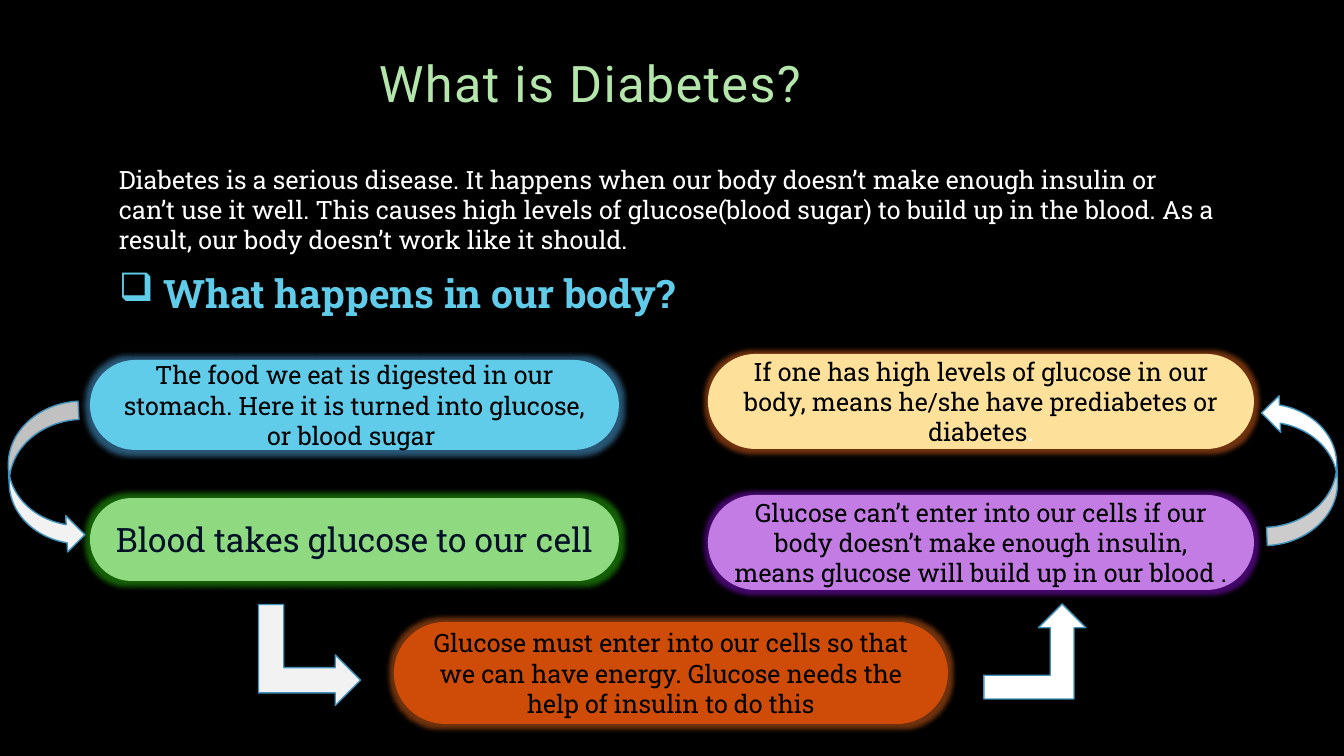
"""Build the "What is Diabetes?" slide with its glucose flow of pills and arrows."""
from lxml import etree
from pptx import Presentation
from pptx.dml.color import RGBColor
from pptx.enum.shapes import MSO_SHAPE
from pptx.enum.text import MSO_ANCHOR, PP_ALIGN
from pptx.oxml import parse_xml
from pptx.oxml.ns import nsdecls, qn
from pptx.util import Emu, Pt

PX = 914400 / 100.8
HEADING_FONT, BODY_FONT = "Roboto", "Roboto Slab"

BLACK = RGBColor(0x00, 0x00, 0x00)
WHITE = RGBColor(0xFF, 0xFF, 0xFF)
NAVY = RGBColor(0x00, 0x10, 0x27)
PALE_GREEN = RGBColor(0xB4, 0xE6, 0xAB)
SKY = RGBColor(0x60, 0xCC, 0xEA)
GREEN = RGBColor(0x8F, 0xDA, 0x81)
ORANGE = RGBColor(0xCE, 0x4C, 0x07)
PURPLE = RGBColor(0xC2, 0x7C, 0xE4)
YELLOW = RGBColor(0xFD, 0xE0, 0x99)
LIGHT_GREY = RGBColor(0xF2, 0xF2, 0xF2)
ARROW_EDGE = RGBColor(0x40, 0x92, 0xBD)
BLUE_GLOW = RGBColor(0x3A, 0x7C, 0xA8)
GREEN_GLOW = RGBColor(0x1E, 0x8A, 0x0A)
BROWN_GLOW = RGBColor(0xA0, 0x48, 0x14)
PURPLE_GLOW = RGBColor(0x62, 0x0A, 0x98)

TITLE = "What is Diabetes?"
INTRO = (
    "Diabetes is a serious disease. It happens when our body doesn’t make enough insulin or "
    "can’t use it well. This causes high levels of glucose(blood sugar) to build up in the "
    "blood. As a result, our body doesn’t work like it should."
)
QUESTION = " What happens in our body?"

PILLS = [
    ((90, 360, 529, 90), SKY, BLUE_GLOW, 18, BLACK,
     ["The food we eat is digested in our stomach. Here it is turned into glucose, "
      "or blood sugar "]),
    ((90, 498, 529, 83), GREEN, GREEN_GLOW, 24, NAVY, ["Blood takes glucose to our cell"]),
    ((394, 622, 554, 102), ORANGE, BROWN_GLOW, 18, BLACK,
     ["Glucose must enter into our cells so that we can have energy. Glucose needs the "
      "help of insulin to do this"]),
    ((708, 495, 546, 95), PURPLE, PURPLE_GLOW, 18, BLACK,
     ["Glucose can’t enter into our cells if our body doesn’t make enough insulin, "
      "means glucose will build up in our blood ."]),
    ((708, 354, 546, 95), YELLOW, BROWN_GLOW, 18, BLACK,
     ["If one has high levels of glucose in our body, means he/she have prediabetes or "
      "diabetes", "."]),
]

ARROWS = [
    (MSO_SHAPE.CURVED_RIGHT_ARROW, (9, 403, 73, 152), 357, LIGHT_GREY),
    (MSO_SHAPE.BENT_UP_ARROW, (259, 604, 101, 102), 90, LIGHT_GREY),
    (MSO_SHAPE.BENT_UP_ARROW, (984, 604, 102, 95), 0, WHITE),
    (MSO_SHAPE.CURVED_RIGHT_ARROW, (1264, 393, 73, 151), 177.5, WHITE),
]


def to_emu(bounds):
    return [Emu(round(length * PX)) for length in bounds]


def style(span, size, colour, font=BODY_FONT):
    span.font.name = font
    span.font.size = Pt(size)
    span.font.color.rgb = colour


def add_text(page, bounds, text, size, colour, font=BODY_FONT):
    box = page.shapes.add_textbox(*to_emu(bounds))
    box.text_frame.word_wrap = True
    box.text_frame.text = text
    para = box.text_frame.paragraphs[0]
    style(para.runs[0], size, colour, font)
    return box, para


def add_block(page, kind, bounds, fill):
    block = page.shapes.add_shape(kind, *to_emu(bounds))
    block.shadow.inherit = False
    block.fill.solid()
    block.fill.fore_color.rgb = fill
    return block


def add_glow(block, colour):
    effects = block.element.spPr.find(qn("a:effectLst"))
    effects.append(parse_xml(
        f'<a:glow {nsdecls("a")} rad="{Pt(7)}"><a:srgbClr val="{colour}">'
        '<a:alpha val="70000"/></a:srgbClr></a:glow>'))


def add_pill(page, bounds, fill, glow, size, colour, parts):
    pill = add_block(page, MSO_SHAPE.ROUNDED_RECTANGLE, bounds, fill)
    pill.adjustments[0] = 0.5
    pill.line.fill.background()
    add_glow(pill, glow)
    frame = pill.text_frame
    frame.word_wrap = True
    frame.vertical_anchor = MSO_ANCHOR.MIDDLE
    para = frame.paragraphs[0]
    para.alignment = PP_ALIGN.CENTER
    for part, shade in zip(parts, (colour, WHITE)):
        span = para.add_run()
        span.text = part
        style(span, size, shade)


def add_arrow(page, kind, bounds, turn, fill):
    arrow = add_block(page, kind, bounds, fill)
    arrow.rotation = turn
    arrow.line.color.rgb = ARROW_EDGE
    arrow.line.width = Pt(1)


def main():
    deck = Presentation()
    deck.slide_width, deck.slide_height = to_emu((1344, 756))
    page = deck.slides.add_slide(deck.slide_layouts[6])
    page.background.fill.solid()
    page.background.fill.fore_color.rgb = BLACK

    title, para = add_text(page, (369, -33, 1008, 151), TITLE, 36, PALE_GREEN, HEADING_FONT)
    title.text_frame.vertical_anchor = MSO_ANCHOR.BOTTOM
    para.line_spacing = 0.9
    para.runs[0].font._element.set("spc", "100")

    add_text(page, (109, 159, 1117, 102), INTRO, 18, WHITE)

    question, para = add_text(page, (109, 264, 672, 57), QUESTION, 28, SKY)
    para.runs[0].font.bold = True
    indent = round(31 * PX)
    properties = para._p.get_or_add_pPr()
    properties.set("marL", str(indent))
    properties.set("indent", str(-indent))
    etree.SubElement(properties, qn("a:buChar")).set("char", "❑")

    for pill in PILLS:
        add_pill(page, *pill)
    for arrow in ARROWS:
        add_arrow(page, *arrow)
    deck.save("out.pptx")


if __name__ == "__main__":
    main()
